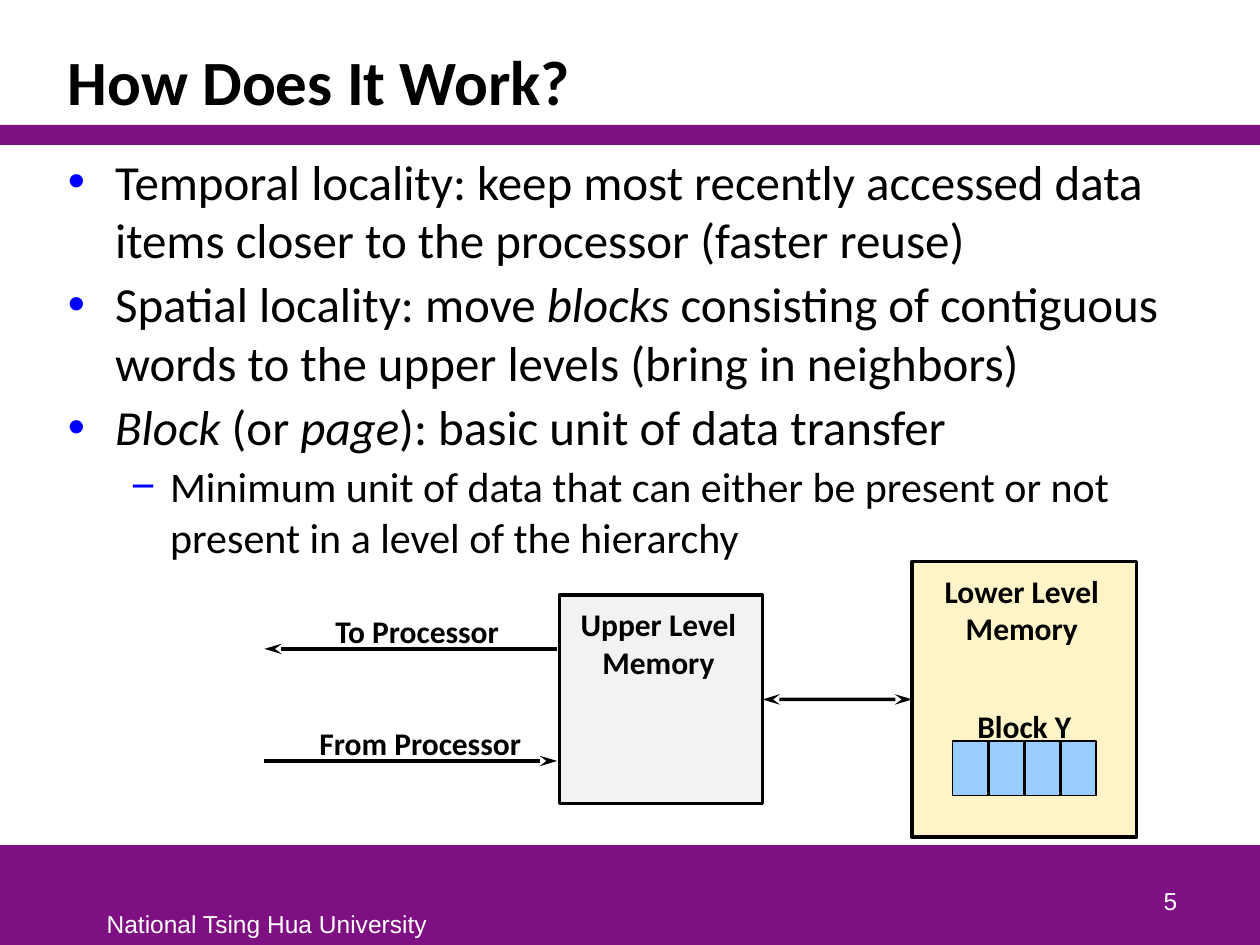
from lxml import etree
from pptx import Presentation
from pptx.dml.color import RGBColor
from pptx.enum.shapes import MSO_CONNECTOR, MSO_SHAPE
from pptx.enum.text import MSO_ANCHOR, PP_ALIGN
from pptx.oxml.ns import qn
from pptx.util import Cm, Pt

PURPLE = RGBColor(0x7F, 0x10, 0x84)
WHITE = RGBColor(0xFF, 0xFF, 0xFF)
BLACK = RGBColor(0, 0, 0)
GREY = RGBColor(0xF2, 0xF2, 0xF2)
CREAM = RGBColor(0xFF, 0xF4, 0xC7)
LIGHT_BLUE = RGBColor(0x99, 0xCC, 0xFF)
BULLET_BLUE = RGBColor(0, 0, 0xFF)

RECTANGLE = MSO_SHAPE.RECTANGLE
STRAIGHT = MSO_CONNECTOR.STRAIGHT
LEFT, CENTER, RIGHT = PP_ALIGN.LEFT, PP_ALIGN.CENTER, PP_ALIGN.RIGHT
TOP, BOTTOM = MSO_ANCHOR.TOP, MSO_ANCHOR.BOTTOM

prs = Presentation()
prs.slide_width, prs.slide_height = Cm(25.4), Cm(19.05)
slide = prs.slides.add_slide(prs.slide_layouts[6])
shapes = slide.shapes


def add_text(parent, box, lines, size, font="Calibri", color=BLACK,
             bold=False, align=LEFT, anchor=TOP, wrap=True):
    """Add a text box; each line is a list of (text, italic) runs or a string."""
    frame = parent.add_textbox(*map(Cm, box)).text_frame
    frame.word_wrap = wrap
    frame.vertical_anchor = anchor
    for i, line in enumerate(lines):
        paragraph = frame.paragraphs[0] if i == 0 else frame.add_paragraph()
        paragraph.alignment = align
        paragraph.font.size = Pt(size)
        paragraph.font.name = font
        paragraph.font.bold = bold
        paragraph.font.color.rgb = color
        for text, italic in [(line, False)] if isinstance(line, str) else line:
            run = paragraph.add_run()
            run.text = text
            if italic:
                run.font.italic = True
    return frame


def add_line(parent, start, end, *arrow_ends):
    """Add a black line; arrow_ends may hold headEnd (start) and tailEnd (end)."""
    line = parent.add_connector(STRAIGHT, *map(Cm, start + end))
    line.line.color.rgb = BLACK
    line.line.width = Pt(2)
    for arrow_end in arrow_ends:
        etree.SubElement(line.line._get_or_add_ln(), qn(f"a:{arrow_end}"),
                         type="stealth", len="lg")
    etree.SubElement(line._element.spPr, qn("a:effectLst"))
    return line


# Purple bands, footer, page number
for top, height in [(17.04, 2.01), (2.52, 0.4)]:
    band = shapes.add_shape(RECTANGLE, 0, Cm(top), prs.slide_width, Cm(height))
    band.shadow.inherit = False
    band.fill.solid()
    band.fill.fore_color.rgb = PURPLE
    band.line.fill.background()
add_text(shapes, (1.9, 18.2, 7, 0.85), ["National Tsing Hua University"], 14,
         font="Arial", color=WHITE, wrap=False)
add_text(shapes, (18.7, 17.3, 5.28, 1.27), ["5"], 14, font="Arial", color=WHITE,
         align=RIGHT, anchor=BOTTOM)

# Title and bullets
title = add_text(shapes, (1.12, 0.63, 23.16, 1.89), ["How Does It Work?"], 36,
                 bold=True, anchor=BOTTOM)
title.paragraphs[0].line_spacing = 0.85

points = [
    [("Temporal locality: keep most recently accessed data items closer to "
      "the processor (faster reuse)", False)],
    [("Spatial locality: move ", False), ("blocks", True),
     (" consisting of contiguous words to the upper levels (bring in neighbors)", False)],
    [("Block", True), (" (or ", False), ("page", True),
     ("): basic unit of data transfer", False)],
    [("Minimum unit of data that can either be present or not present in a "
      "level of the hierarchy", False)],
]
body = add_text(shapes, (1.12, 2.92, 23.16, 14.05), points, 28)
body.paragraphs[-1].level = 1
body.paragraphs[-1].font.size = Pt(24)
bullet_styles = [("•", 0.95, 0.95), ("−", 2.06, 0.79)]
for paragraph in body.paragraphs:
    paragraph.space_before = Pt(3)
    mark, margin, hanging = bullet_styles[paragraph.level]
    properties = paragraph._p.get_or_add_pPr()
    properties.set("marL", str(Cm(margin)))
    properties.set("indent", str(-Cm(hanging)))
    bullet_color = etree.SubElement(properties, qn("a:buClr"))
    etree.SubElement(bullet_color, qn("a:srgbClr"), val=str(BULLET_BLUE))
    etree.SubElement(properties, qn("a:buFont"), typeface="Arial")
    etree.SubElement(properties, qn("a:buChar"), char=mark)
    # The schema wants the default run properties after the bullet
    properties.append(properties.find(qn("a:defRPr")))

# Memory levels
memories = []
for level, left, top, width, height, fill in [
    ("Upper Level", 11.28, 12, 4.09, 4.2, GREY),
    ("Lower Level", 18.39, 11.32, 4.52, 5.56, CREAM),
]:
    memory = shapes.add_shape(RECTANGLE, Cm(left), Cm(top), Cm(width), Cm(height))
    memory.shadow.inherit = False
    memory.fill.solid()
    memory.fill.fore_color.rgb = fill
    memory.line.color.rgb = BLACK
    memory.line.width = Pt(2)
    memories.append(memory)
    add_text(shapes, (left - 0.05, top + 0.08, width, 2.06), [level, "Memory"], 18,
             bold=True, align=CENTER)
upper, lower = memories

# Transfers
processor_x, upper_x = 5.33, 11.23
add_line(shapes, (upper_x, 13.08), (processor_x, 13.08), "tailEnd")
add_line(shapes, (processor_x, 15.34), (upper_x, 15.34), "tailEnd")
add_text(shapes, (6.51, 12.22, 4.39, 1.17), ["To Processor"], 18, bold=True)
add_text(shapes, (6.19, 14.48, 5.31, 1.17), ["From Processor"], 18, bold=True)
exchange = add_line(shapes, (15.37, 14.1), (18.39, 14.1), "headEnd", "tailEnd")
exchange.begin_connect(upper, 3)
exchange.end_connect(lower, 1)

# Block Y, split into equal words
block_left, block_top, block_width, block_height = 19.2, 14.94, 2.9, 1.1
word_count = 4
block_group = shapes.add_group_shape().shapes
block = block_group.add_shape(RECTANGLE, Cm(block_left), Cm(block_top),
                              Cm(block_width), Cm(block_height))
block.shadow.inherit = False
block.fill.solid()
block.fill.fore_color.rgb = LIGHT_BLUE
block.line.color.rgb = BLACK
block.line.width = Pt(1)
add_text(block_group, (block_left, 14.12, block_width, 1.02), ["Block Y"], 18,
         bold=True, align=CENTER)
for i in range(1, word_count):
    x = block_left + i * block_width / word_count
    add_line(block_group, (x, block_top), (x, block_top + block_height))

prs.save("out.pptx")
